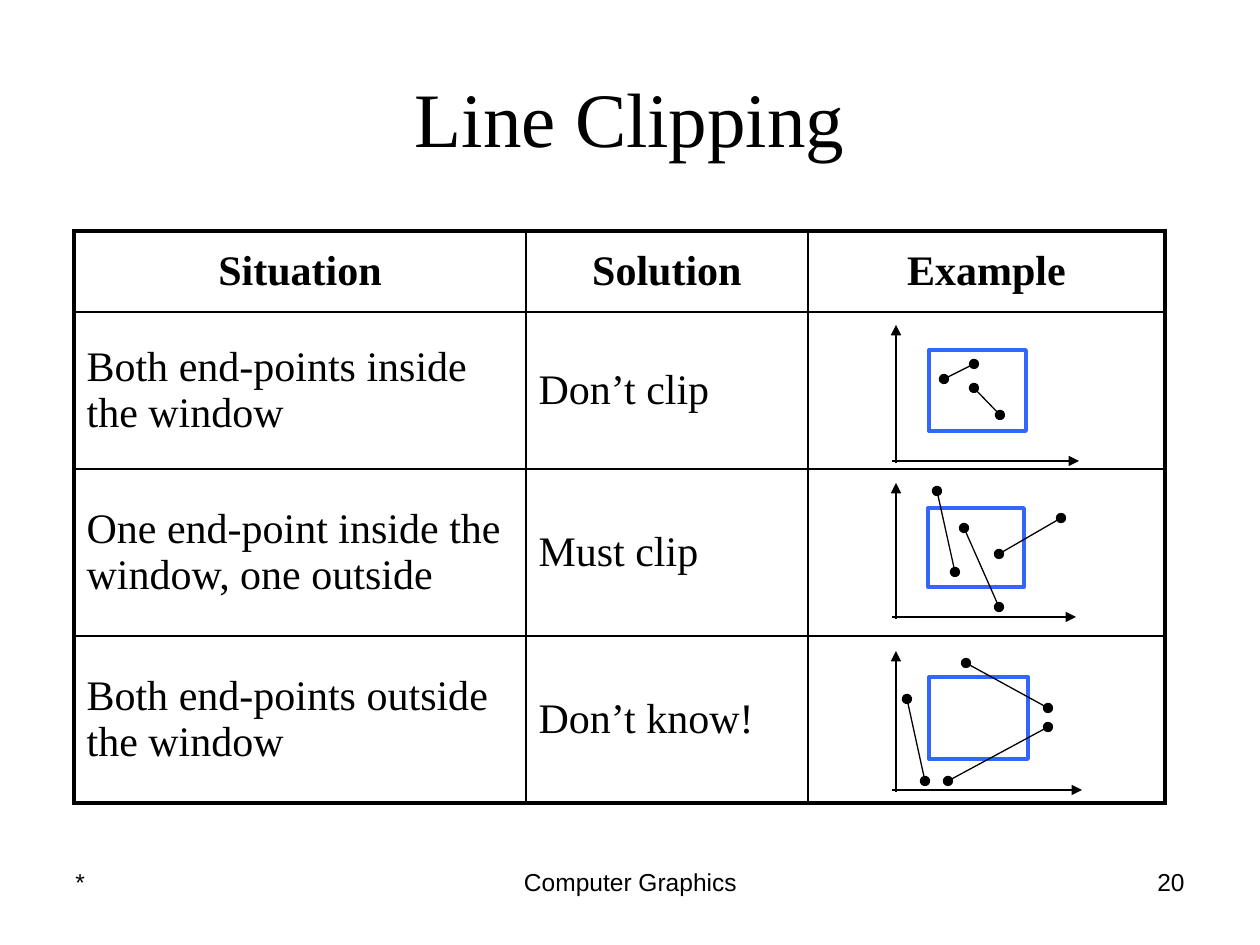
from dataclasses import dataclass

from lxml.etree import SubElement
from pptx import Presentation
from pptx.dml.color import RGBColor
from pptx.enum.shapes import MSO_CONNECTOR, MSO_SHAPE
from pptx.enum.text import MSO_ANCHOR, PP_ALIGN
from pptx.oxml.ns import qn
from pptx.util import Inches, Pt

EMU_PER_PX = Inches(1) / 126


@dataclass(frozen=True)
class Theme:
    ink: RGBColor = RGBColor(0, 0, 0)
    window: RGBColor = RGBColor(0x33, 0x66, 0xFF)
    serif: str = "Times New Roman"
    sans: str = "Arial"
    title_size: int = 44
    table_size: int = 24
    footer_size: int = 14
    thin: float = 0.75
    inner: float = 1
    thick: float = 2.25


THEME = Theme()

ROWS = [
    ("Situation", "Solution", "Example"),
    ("Both end-points inside the window", "Don’t clip", ""),
    ("One end-point inside the window, one outside", "Must clip", ""),
    ("Both end-points outside the window", "Don’t know!", ""),
]
TABLE_LEFT, TABLE_TOP = 74, 231
COLUMN_WIDTHS = [452, 282, 357]
ROW_HEIGHTS = [81, 157, 167, 167]

# Each example: axis tips (right, top), baseline, window box, clipped segments
AXIS_X = 896
EXAMPLES = [
    (1079, 325, 461, (929, 350, 97, 81),
     [(944, 379, 974, 364), (974, 388, 1000, 415)]),
    (1076, 483, 617, (928, 508, 96, 79),
     [(999, 554, 1061, 518), (964, 528, 999, 607), (937, 491, 955, 572)]),
    (1082, 651, 790, (929, 677, 99, 82),
     [(966, 663, 1048, 708), (948, 781, 1048, 727), (907, 699, 925, 781)]),
]


def px(*lengths):
    return [round(length * EMU_PER_PX) for length in lengths]


def style_text(para, text, font_name, size, align, bold=False):
    para.text = text
    para.alignment = align
    para.font.name = font_name
    para.font.size = Pt(size)
    para.font.bold = bold
    para.font.color.rgb = THEME.ink


def add_text(page, area, text, font_name, size, align, anchor=MSO_ANCHOR.TOP):
    frame = page.shapes.add_textbox(*px(*area)).text_frame
    frame.word_wrap = True
    frame.vertical_anchor = anchor
    style_text(frame.paragraphs[0], text, font_name, size, align)


def set_borders(cell, widths):
    """Draw the left, right, top and bottom borders of a cell."""
    properties = cell._tc.get_or_add_tcPr()
    for side, width in zip("LRTB", widths):
        line = SubElement(properties, qn(f"a:ln{side}"), w=str(Pt(width)))
        fill = SubElement(line, qn("a:solidFill"))
        SubElement(fill, qn("a:srgbClr"), val=str(THEME.ink))


def add_situation_table(page):
    area = px(TABLE_LEFT, TABLE_TOP, sum(COLUMN_WIDTHS), sum(ROW_HEIGHTS))
    table = page.shapes.add_table(len(ROWS), len(COLUMN_WIDTHS), *area).table
    table.first_row = table.horz_banding = False
    for column, width in zip(table.columns, px(*COLUMN_WIDTHS)):
        column.width = width
    for row, height in zip(table.rows, px(*ROW_HEIGHTS)):
        row.height = height

    last_row, last_column = len(ROWS) - 1, len(COLUMN_WIDTHS) - 1
    for r, texts in enumerate(ROWS):
        for c, text in enumerate(texts):
            cell = table.cell(r, c)
            outer = (c == 0, c == last_column, r == 0, r == last_row)
            set_borders(cell, [THEME.thick if edge else THEME.inner for edge in outer])
            cell.fill.background()
            cell.vertical_anchor = MSO_ANCHOR.MIDDLE
            header = r == 0
            style_text(cell.text_frame.paragraphs[0], text, THEME.serif,
                       THEME.table_size,
                       PP_ALIGN.CENTER if header else PP_ALIGN.LEFT, bold=header)


def add_line(group, ends, head=None, tail=None):
    line = group.shapes.add_connector(MSO_CONNECTOR.STRAIGHT, *px(*ends))
    line.line.color.rgb = THEME.ink
    line.line.width = Pt(THEME.thin)
    outline = line.line._get_or_add_ln()
    for tag, kind in (("a:headEnd", head), ("a:tailEnd", tail)):
        if kind:
            SubElement(outline, qn(tag), type=kind)
    SubElement(line._element.spPr, qn("a:effectLst"))


def add_window(group, area):
    window = group.shapes.add_shape(MSO_SHAPE.RECTANGLE, *px(*area))
    window.shadow.inherit = False
    window.fill.background()
    window.line.color.rgb = THEME.window
    window.line.width = Pt(THEME.thick)


def add_example(page, right, top, baseline, window, segments):
    group = page.shapes.add_group_shape()
    # Axes cross slightly beyond the origin
    add_line(group, (AXIS_X - 4, baseline, right, baseline), tail="triangle")
    add_line(group, (AXIS_X, baseline + 2, AXIS_X, top), tail="triangle")
    add_window(group, window)
    for segment in segments:
        add_line(group, segment, head="oval", tail="oval")


def main():
    deck = Presentation()
    deck.slide_width, deck.slide_height = Inches(10), Inches(7.5)
    page = deck.slides.add_slide(deck.slide_layouts[6])

    # Footer
    for left, width, text, align in (
        (63, 294, "*", PP_ALIGN.LEFT),
        (431, 399, "Computer Graphics", PP_ALIGN.CENTER),
        (903, 294, "20", PP_ALIGN.RIGHT),
    ):
        add_text(page, (left, 861, width, 66), text, THEME.sans,
                 THEME.footer_size, align)

    # Title
    add_text(page, (63, 38, 1134, 157), "Line Clipping", THEME.serif,
             THEME.title_size, PP_ALIGN.CENTER, MSO_ANCHOR.MIDDLE)

    # Table with one drawn example per row
    add_situation_table(page)
    for example in EXAMPLES:
        add_example(page, *example)

    deck.save("out.pptx")


if __name__ == "__main__":
    main()
